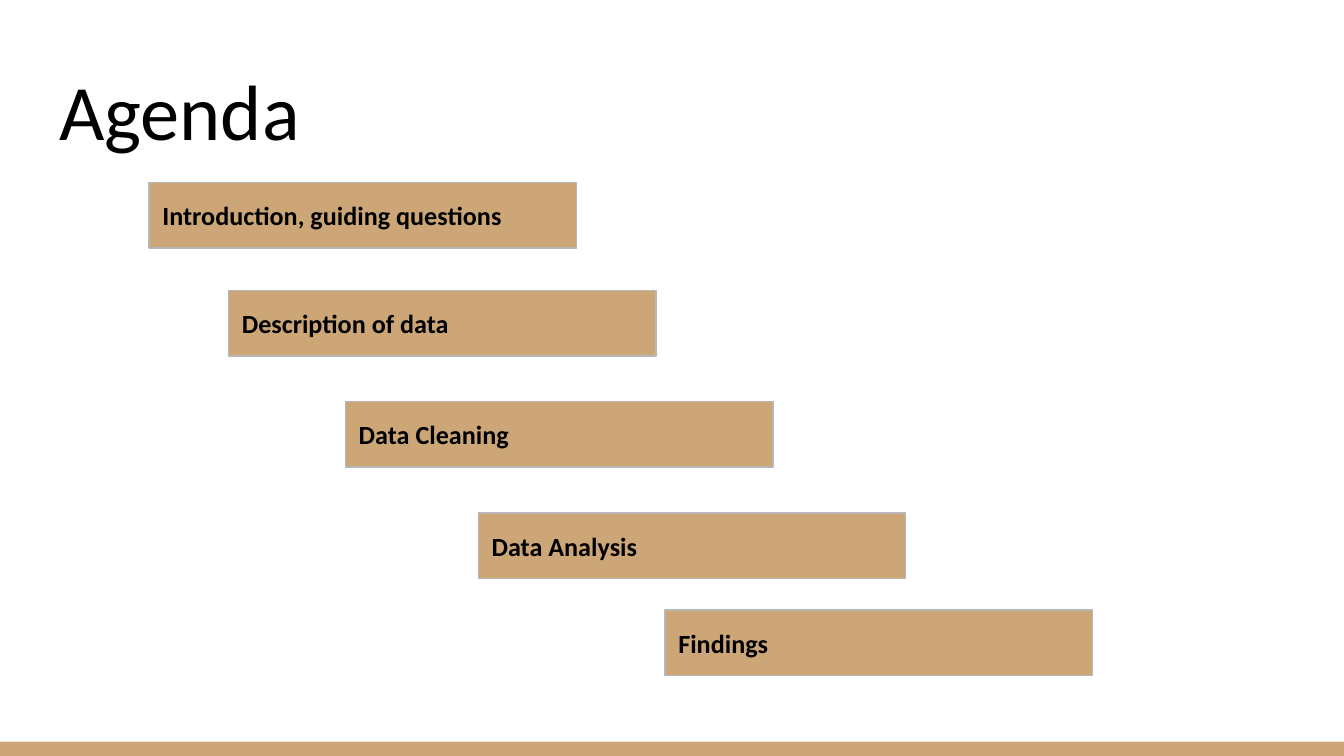
from pptx import Presentation, util as u
from pptx.dml.color import RGBColor
from pptx.enum import shapes, text

COLORS = {"tan": "CCA677", "outline": "B7B7B7", "ink": "000000", "paper": "FFFFFF"}
FONT = "Calibri"
SLIDE_WIDTH, SLIDE_HEIGHT = 25.4, 14.29
BAR_WIDTH, BAR_HEIGHT = 8.08, 1.24
FOOTER_HEIGHT = 0.27

# Topic, left and top in cm
AGENDA = [
    ("Introduction, guiding questions", 2.82, 3.45),
    ("Description of data", 4.32, 5.49),
    ("Data Cleaning", 6.53, 7.59),
    ("Data Analysis", 9.04, 9.7),
    ("Findings", 12.57, 11.53),
]


class AgendaSlide:
    """Holds the slide and its style; all lengths are in centimetres."""

    def __init__(self, slide):
        self.slide = slide
        background = slide.background.fill
        background.solid()
        background.fore_color.rgb = self.color("paper")

    def color(self, name):
        return RGBColor.from_string(COLORS[name])

    def label(self, shape, wording, size, anchor, bold=False):
        frame = shape.text_frame
        frame.text = wording
        frame.word_wrap = True
        frame.vertical_anchor = anchor
        frame.margin_left = frame.margin_right = u.Cm(0.25)
        frame.margin_top = frame.margin_bottom = u.Cm(0.25)
        paragraph = frame.paragraphs[0]
        paragraph.alignment = text.PP_ALIGN.LEFT
        font = paragraph.runs[0].font
        font.name, font.size, font.bold = FONT, u.Pt(size), bold
        font.color.rgb = self.color("ink")

    def band(self, left, top, width, height):
        """Add a plain tan rectangle without outline."""
        band = self.slide.shapes.add_shape(
            shapes.MSO_SHAPE.RECTANGLE,
            u.Cm(left), u.Cm(top), u.Cm(width), u.Cm(height))
        band.shadow.inherit = False
        band.fill.solid()
        band.fill.fore_color.rgb = self.color("tan")
        band.line.fill.background()
        return band

    def title(self, wording, left, top, width, height):
        title = self.slide.shapes.add_textbox(
            u.Cm(left), u.Cm(top), u.Cm(width), u.Cm(height))
        self.label(title, wording, 42, text.MSO_ANCHOR.BOTTOM)

    def topic(self, wording, left, top):
        bar = self.band(left, top, BAR_WIDTH, BAR_HEIGHT)
        bar.line.color.rgb = self.color("outline")
        bar.line.width = u.Pt(0.75)
        self.label(bar, wording, 14, text.MSO_ANCHOR.MIDDLE, bold=True)


def main():
    deck = Presentation()
    deck.slide_width, deck.slide_height = u.Cm(SLIDE_WIDTH), u.Cm(SLIDE_HEIGHT)
    agenda = AgendaSlide(deck.slides.add_slide(deck.slide_layouts[6]))
    agenda.band(0, SLIDE_HEIGHT - FOOTER_HEIGHT, SLIDE_WIDTH, FOOTER_HEIGHT)
    agenda.title("Agenda", 0.87, 0.89, 23.67, 2.31)
    for wording, left, top in AGENDA:
        agenda.topic(wording, left, top)
    deck.save("out.pptx")


if __name__ == "__main__":
    main()
